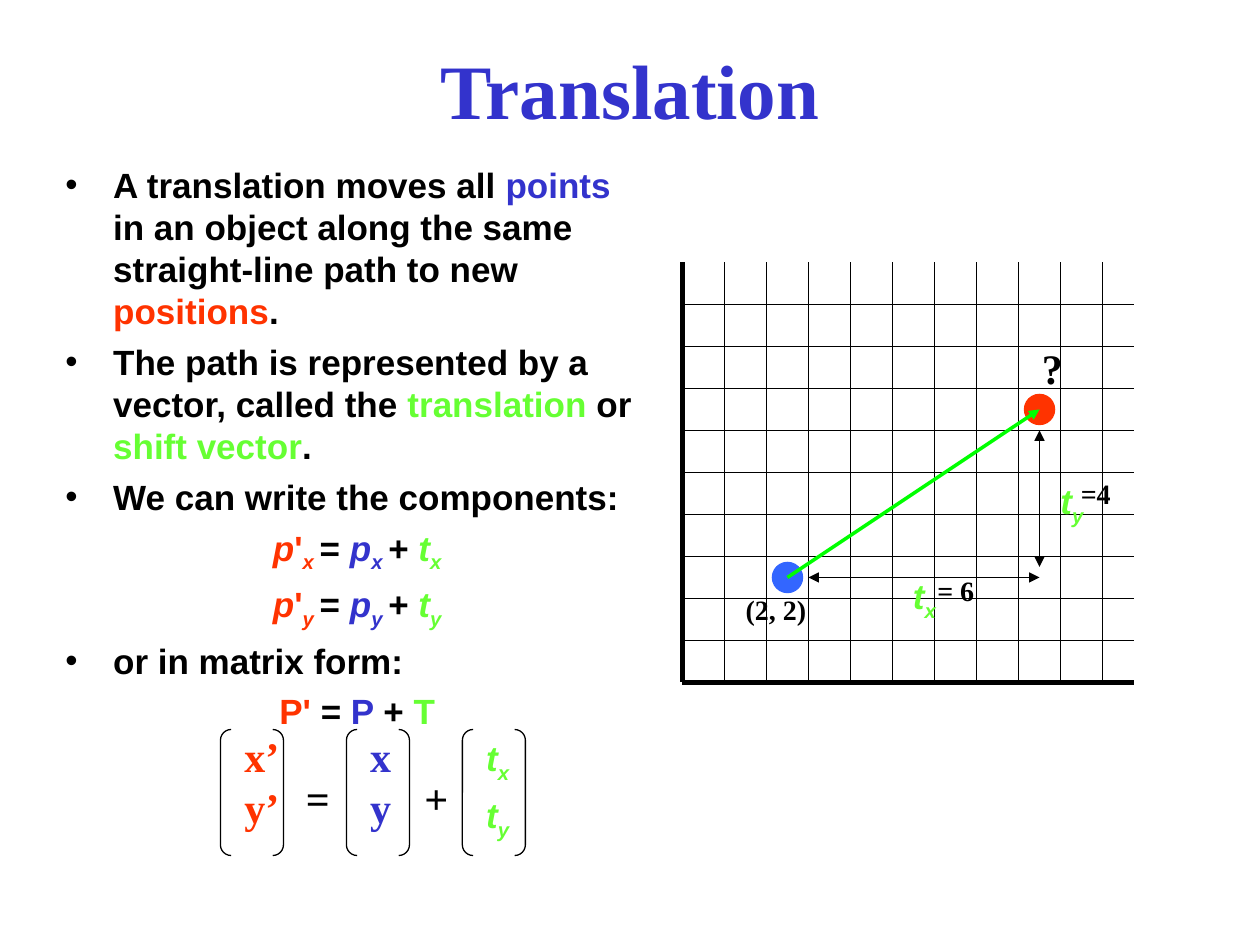
from lxml import etree
from pptx import Presentation
from pptx.dml.color import RGBColor
from pptx.enum.shapes import MSO_CONNECTOR, MSO_SHAPE
from pptx.enum.text import MSO_ANCHOR, MSO_AUTO_SIZE, PP_ALIGN
from pptx.oxml.ns import qn
from pptx.util import Inches, Pt

LINE = MSO_CONNECTOR.STRAIGHT
ELLIPSE, BRACKETS = MSO_SHAPE.OVAL, MSO_SHAPE.DOUBLE_BRACKET
LEFT, CENTER = PP_ALIGN.LEFT, PP_ALIGN.CENTER
TOP, MIDDLE = MSO_ANCHOR.TOP, MSO_ANCHOR.MIDDLE
FIT, FIXED = MSO_AUTO_SIZE.SHAPE_TO_FIT_TEXT, MSO_AUTO_SIZE.NONE

THEME = {
    "black": "000000", "blue": "3333CC", "red": "FF3300", "green": "66FF33",
    "vector": "00FF00", "start": "3366FF",
    "sans": "Arial", "serif": "Times New Roman",
    "title": 44, "matrix": 24, "body": 20, "label": 16,
    "thin": 0.75, "arrow": 2, "axis": 3,
}


def component(axis):
    """Runs of the equation for one coordinate axis."""
    return [("p", "red", "i"), ("'", "red"), (axis + " ", "red", "i sub"), ("= ", "black"),
            ("p", "blue", "i"), (axis + " ", "blue", "i sub"), ("+ ", "black"),
            *shift(axis)]


def shift(axis):
    return [("t", "green", "i"), (axis, "green", "i sub")]


# Content: a paragraph is a list of runs, a run is (text, colour, style)
BODY = [
    ("bullet", [("A translation moves all ", "black"), ("points", "blue"),
                (" in an object along the same straight-line path to new ", "black"),
                ("positions", "red"), (".", "black")]),
    ("bullet", [("The path is represented by a vector, called the ", "black"),
                ("translation", "green"), (" or ", "black"),
                ("shift vector", "green"), (".", "black")]),
    ("bullet", [("We can write the components:", "black")]),
    ("equation", component("x")),
    ("equation", component("y")),
    ("bullet", [("or in matrix form:", "black")]),
    ("equation", [("P' ", "red"), ("= ", "black"), ("P ", "blue"),
                  ("+ ", "black"), ("T", "green")]),
]
# Bracket left, text top, text box size, paragraphs and their format
VECTORS = [
    (1.75, 5.75, (0.48, 0.9), [[("x’", "red")], [("y’", "red")]], {}),
    (2.75, 5.75, (0.36, 0.9), [[("x", "blue")], [("y", "blue")]], {}),
    (3.67, 5.8, (0.42, 0.93), [shift("x"), shift("y")],
     {"font": "sans", "size": "body", "space": 5}),
]
SHIFT_LABELS = [("x", (7.07, 4.51, 0.46, 0.48)), ("y", (8.24, 3.76, 0.58, 0.48))]
VALUE_LABELS = [("(2, 2)", (5.82, 4.65, 0.68, 0.37)), ("= 6", (7.34, 4.5, 0.49, 0.37)),
                ("=4", (8.48, 3.73, 0.47, 0.37))]

# Graph: lengths in grid cells, counted from the origin
CELL = 1 / 3
ORIGIN = (16.25 * CELL, 16.25 * CELL)
COLUMNS, ROWS, GRAPH_WIDTH = 10, 10, 10.75
START, END = (2.5, 2.5), (8.5, 6.5)
DOT, HANGING, BRACKET_TOP = 0.25, 0.38, 5.79

presentation = Presentation()
presentation.slide_width, presentation.slide_height = Inches(10), Inches(7.5)
slide = presentation.slides.add_slide(presentation.slide_layouts[6])


def colour(name):
    return RGBColor.from_string(THEME[name])


def add_text(box, paragraphs, *, font="serif", size="matrix", align=LEFT, anchor=TOP,
             wrap=False, fit=FIT, space=0, kinds=None, tab=None):
    shape = slide.shapes.add_textbox(*map(Inches, box))
    frame = shape.text_frame
    frame.word_wrap, frame.auto_size, frame.vertical_anchor = wrap, fit, anchor
    for index, runs in enumerate(paragraphs):
        paragraph = frame.paragraphs[0] if index == 0 else frame.add_paragraph()
        paragraph.alignment = align
        paragraph.space_before = Pt(space if index else 0)
        properties = paragraph._p.get_or_add_pPr()
        if kinds:
            properties.set("marL", str(Inches(HANGING)))
            properties.set("indent", str(-Inches(HANGING)))
            if kinds[index] == "bullet":
                bullet_colour = etree.SubElement(properties, qn("a:buClr"))
                etree.SubElement(bullet_colour, qn("a:srgbClr"), val=THEME["black"])
                etree.SubElement(properties, qn("a:buFont"), typeface=THEME[font])
                etree.SubElement(properties, qn("a:buChar"), char="•")
            else:
                paragraph.alignment = CENTER
        if tab:
            stops = etree.SubElement(properties, qn("a:tabLst"))
            etree.SubElement(stops, qn("a:tab"), pos=str(Inches(tab)), algn="l")
        for text, run_colour, *style in runs:
            styles = style[0].split() if style else []
            run = paragraph.add_run()
            run.text = text
            run.font.name, run.font.size = THEME[font], Pt(THEME[size])
            run.font.bold, run.font.italic = True, "i" in styles
            run.font.color.rgb = colour(run_colour)
            if "sub" in styles:
                run._r.get_or_add_rPr().set("baseline", "-25000")


def on_graph(point):
    column, row = point
    return ORIGIN[0] + column * CELL, ORIGIN[1] - row * CELL


def add_line(start, end, width="thin", line_colour="black", ends=()):
    """Draw a line between two graph points, with arrowheads at the named ends."""
    points = [Inches(value) for value in (*on_graph(start), *on_graph(end))]
    connector = slide.shapes.add_connector(LINE, *points)
    connector.line.width = Pt(THEME[width])
    connector.line.color.rgb = colour(line_colour)
    outline = connector.line._get_or_add_ln()
    for name in ends:
        etree.SubElement(outline, qn("a:" + name), type="triangle")
    etree.SubElement(connector._element.spPr, qn("a:effectLst"))


def add_dot(point, fill):
    x, y = on_graph(point)
    dot = slide.shapes.add_shape(ELLIPSE, Inches(x - DOT / 2), Inches(y - DOT / 2),
                                 Inches(DOT), Inches(DOT))
    dot.shadow.inherit = False
    dot.fill.solid()
    dot.fill.fore_color.rgb = colour(fill)
    dot.line.fill.background()


def add_brackets(left):
    brackets = slide.shapes.add_shape(BRACKETS, Inches(left), Inches(BRACKET_TOP),
                                      Inches(0.5), Inches(1))
    brackets.shadow.inherit = False
    brackets.adjustments[0] = 0.17
    brackets.fill.background()
    brackets.line.color.rgb = colour("black")
    brackets.line.width = Pt(THEME["thin"])


add_text((0.75, 0.08, 8.5, 1.25), [[("Translation", "blue")]], size="title",
         align=CENTER, anchor=MIDDLE, wrap=True, fit=FIXED)
add_text((0.42, 1.25, 4.83, 5.42), [runs for _, runs in BODY], font="sans", size="body",
         wrap=True, fit=FIXED, space=5, kinds=[kind for kind, _ in BODY])

for column in range(COLUMNS + 1):
    add_line((column, ROWS), (column, 0), "thin" if column else "axis")
for row in range(ROWS):
    add_line((0, row), (GRAPH_WIDTH, row), "thin" if row else "axis")
add_dot(START, "start")
add_dot(END, "red")
add_line(START, END, "arrow", "vector", ["tailEnd"])
add_line((3, START[1]), (END[0], START[1]), ends=["headEnd", "tailEnd"])
add_line((END[0], 2.75), (END[0], 6), ends=["headEnd", "tailEnd"])

for axis, box in SHIFT_LABELS:
    add_text(box, [[(" ", "black"), *shift(axis)]], font="sans", size="body")
for left, top, size, paragraphs, text_format in VECTORS:
    add_brackets(left)
    add_text((left + 0.09, top, *size), paragraphs, **text_format)
add_text((2.33, 6.08, 1.42, 0.5), [[("=\t+", "black")]], wrap=True, tab=0.94)
for text, box in VALUE_LABELS:
    add_text(box, [[(text, "black")]], size="label")
add_text((8.17, 2.67, 0.33, 0.5), [[("?", "black")]], wrap=True)

presentation.save("out.pptx")
